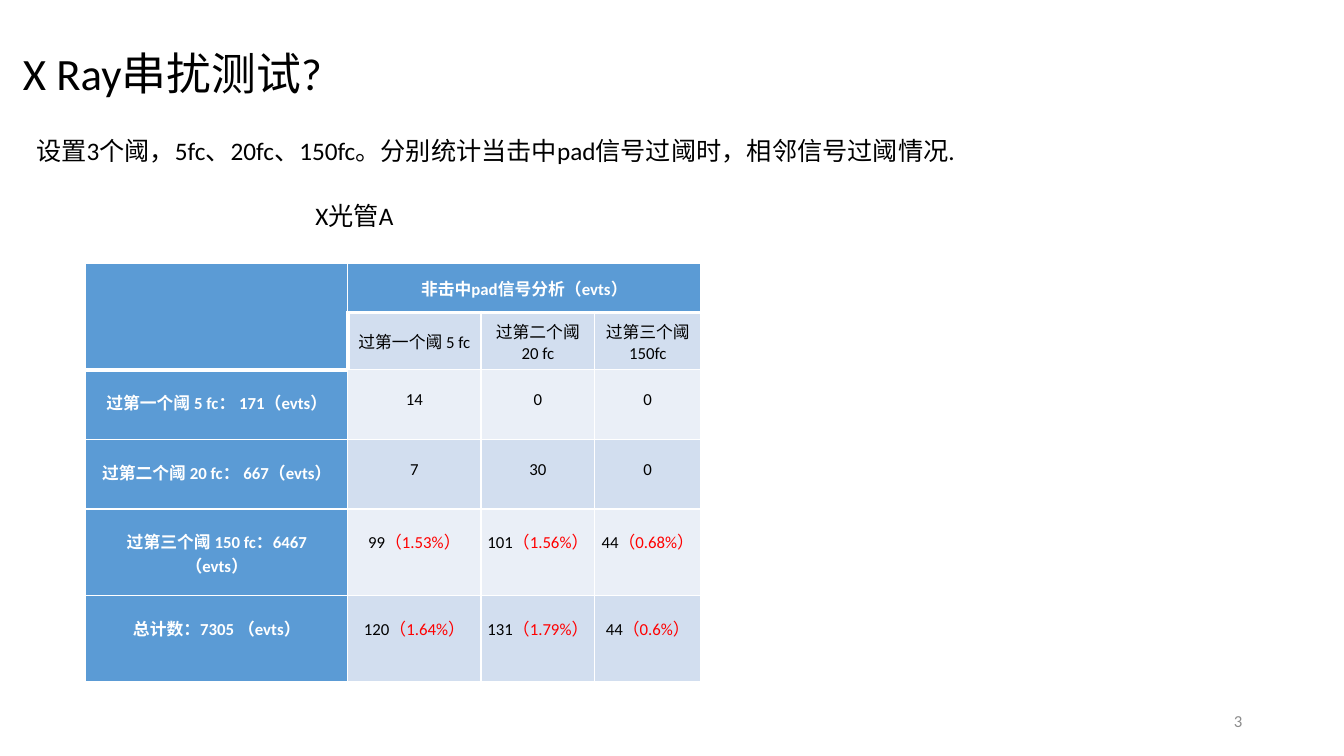
"""Build the X-ray crosstalk test slide with its threshold table."""
from lxml.etree import SubElement
from pptx import Presentation
from pptx.dml.color import RGBColor
from pptx.enum.text import MSO_ANCHOR, PP_ALIGN
from pptx.oxml.ns import qn
from pptx.util import Inches, Pt

COLORS = {
    "black": "000000", "white": "FFFFFF", "red": "FF0000", "gray": "8C8C8C",
    "header": "5B9BD5", "band_dark": "D2DEEF", "band_light": "EAEFF7",
}


def style_font(font, size, color, bold=False):
    font.name = "Calibri"
    font.size = Pt(size)
    font.bold = bold
    font.color.rgb = RGBColor.from_string(COLORS[color])


def add_border(cell, side, width):
    line = SubElement(cell._tc.get_or_add_tcPr(), qn(f"a:ln{side}"), w=str(Pt(width)))
    fill = SubElement(line, qn("a:solidFill"))
    SubElement(fill, qn("a:srgbClr"), val=COLORS["white"])


prs = Presentation()
prs.slide_width, prs.slide_height = Inches(13.33), Inches(7.5)
s = prs.slides.add_slide(prs.slide_layouts[6])

texts = [
    ("X Ray串扰测试?", (0.13, 0, 11.5, 1.45), 32, "black", PP_ALIGN.LEFT, MSO_ANCHOR.MIDDLE),
    ("设置3个阈，5fc、20fc、150fc。分别统计当击中pad信号过阈时，相邻信号过阈情况.",
     (0.26, 1.29, 10.65, 0.4), 18, "black", PP_ALIGN.LEFT, MSO_ANCHOR.TOP),
    ("X光管A", (3.03, 1.94, 1.22, 0.4), 18, "black", PP_ALIGN.LEFT, MSO_ANCHOR.TOP),
    ("3", (9.42, 6.95, 3, 0.4), 12, "gray", PP_ALIGN.RIGHT, MSO_ANCHOR.MIDDLE),
]
for text, box, size, color, align, anchor in texts:
    tf = s.shapes.add_textbox(*map(Inches, box)).text_frame
    tf.word_wrap = True
    tf.vertical_anchor = anchor
    p = tf.paragraphs[0]
    p.text = text
    p.alignment = align
    style_font(p.font, size, color)

col_widths = [2.6, 1.32, 1.13, 1.05]
row_heights = [0.49, 0.57, 0.69, 0.69, 0.86, 0.85]
rows = [
    ["", "非击中pad信号分析（evts）", "", ""],
    ["", "过第一个阈 5 fc", "过第二个阈 20 fc", "过第三个阈 150fc"],
    ["过第一个阈 5 fc： 171（evts）", "14", "0", "0"],
    ["过第二个阈 20 fc： 667（evts）", "7", "30", "0"],
    ["过第三个阈 150 fc：6467（evts）", "99（1.53%）", "101（1.56%）", "44（0.68%）"],
    ["总计数：7305 （evts）", "120（1.64%）", "131（1.79%）", "44（0.6%）"],
]
table = s.shapes.add_table(
    len(rows), len(col_widths), Inches(0.85), Inches(2.61),
    Inches(sum(col_widths)), Inches(sum(row_heights))).table
table.first_row = table.horz_banding = False
for column, width in zip(table.columns, col_widths):
    column.width = Inches(width)
for row, height in zip(table.rows, row_heights):
    row.height = Inches(height)
table.cell(0, 0).merge(table.cell(1, 0))
table.cell(0, 1).merge(table.cell(0, 3))

for i, row in enumerate(rows):
    for j, text in enumerate(row):
        cell = table.cell(i, j)
        is_header = i == 0 or j == 0
        thick_sides = {
            "L": i == 1 and j == 1,
            "R": i < 2 and j == 0 and i == 1,
            "T": (i == 1 and j > 0) or (i == 2 and j == 0),
            "B": i == 0 or (i == 1 and j == 0),
        }
        for side, thick in thick_sides.items():
            add_border(cell, side, 3 if thick else 1)
        band = "band_dark" if i % 2 else "band_light"
        cell.fill.solid()
        cell.fill.fore_color.rgb = RGBColor.from_string(COLORS["header" if is_header else band])
        cell.margin_left = cell.margin_right = Inches(0.15 if j == 0 else 0.06)
        cell.margin_top = Inches(0 if i < 2 else 0.2)
        cell.margin_bottom = 0
        cell.vertical_anchor = MSO_ANCHOR.MIDDLE if i < 2 else MSO_ANCHOR.TOP
        p = cell.text_frame.paragraphs[0]
        p.alignment = PP_ALIGN.CENTER
        style_font(p.font, 12, "white" if is_header else "black", is_header)
        count, bracket, share = text.partition("（")
        if "%" in share:
            p.add_run().text = count
            r = p.add_run()
            r.text = bracket + share
            r.font.color.rgb = RGBColor.from_string(COLORS["red"])
        elif text:
            p.add_run().text = text

prs.save("out.pptx")
